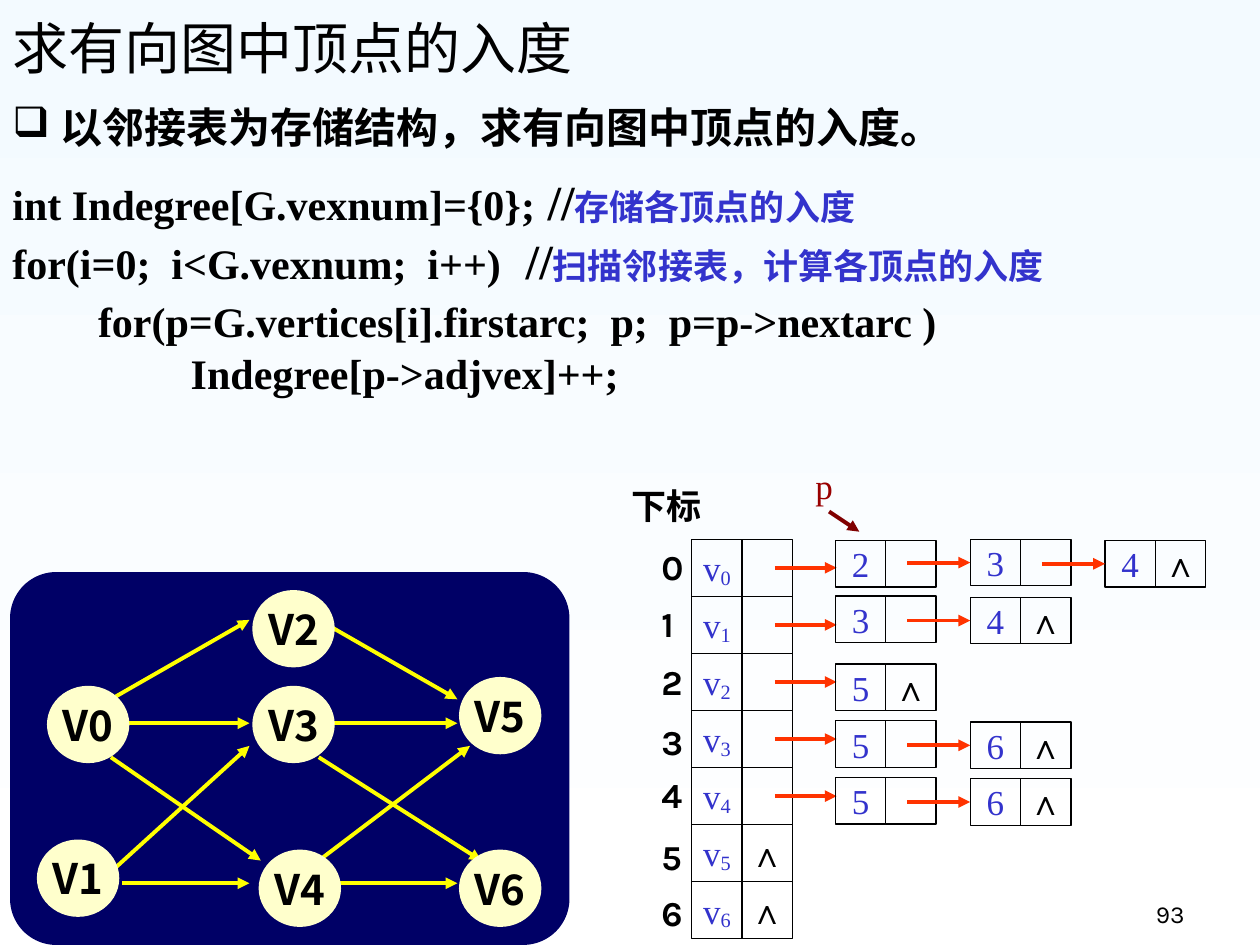
from pptx import Presentation
from pptx.dml.color import RGBColor
from pptx.enum.shapes import MSO_CONNECTOR, MSO_SHAPE
from pptx.enum.text import MSO_ANCHOR, PP_ALIGN
from pptx.oxml.ns import qn
from pptx.util import Inches, Pt
from lxml.etree import SubElement

COLORS = {
    "black": "000000", "blue": "3333CC", "navy": "000066", "cream": "FFFFCC",
    "yellow": "FFFF00", "orange": "FF3300", "red": "990000", "maroon": "800000",
    "sky": "F3FAFF", "white": "FFFFFF",
}
SERIF, SANS, CJK, DIGITS = "Times New Roman", "Arial", "Noto Sans CJK SC", "Karla"


def rgb(name):
    return RGBColor.from_string(COLORS[name])


class SlideBuilder:
    def __init__(self, slide):
        self.slide = slide

    def background(self, top, bottom):
        fill = self.slide.background.fill
        fill.gradient()
        fill.gradient_angle = 270
        for stop, name in zip(fill.gradient_stops, (top, bottom)):
            stop.color.rgb = rgb(name)

    def style(self, span, size, font=SERIF, color="black", bold=False):
        span.font.size = Pt(size)
        span.font.name = font
        span.font.bold = bold
        span.font.color.rgb = rgb(color)
        SubElement(span.font._element, qn("a:ea")).set("typeface", CJK)

    def text(self, area, words, size, font=SERIF, color="black", bold=False,
             align=PP_ALIGN.LEFT, anchor=MSO_ANCHOR.TOP, wrap=True):
        box = self.slide.shapes.add_textbox(*map(Inches, area))
        frame = box.text_frame
        frame.word_wrap = wrap
        frame.vertical_anchor = anchor
        frame.text = words
        para = frame.paragraphs[0]
        para.alignment = align
        self.style(para.runs[0], size, font, color, bold)
        return box

    def bullet(self, box, mark, indent):
        props = box.text_frame.paragraphs[0]._p.get_or_add_pPr()
        props.set("marL", str(Inches(indent)))
        props.set("indent", str(-Inches(indent)))
        SubElement(props, qn("a:buChar")).set("char", mark)

    def code(self, area, lines):
        box = self.slide.shapes.add_textbox(*map(Inches, area))
        frame = box.text_frame
        frame.word_wrap = True
        for index, line in enumerate(lines):
            para = frame.paragraphs[0] if index == 0 else frame.add_paragraph()
            for words, size, color in line:
                span = para.add_run()
                span.text = words
                self.style(span, size, color=color, bold=True)

    def shape(self, kind, area, fill=None, line=None, width=0.75):
        shape = self.slide.shapes.add_shape(kind, *map(Inches, area))
        shape.shadow.inherit = False
        if fill:
            shape.fill.solid()
            shape.fill.fore_color.rgb = rgb(fill)
        else:
            shape.fill.background()
        if line:
            shape.line.color.rgb = rgb(line)
            shape.line.width = Pt(width)
        else:
            shape.line.fill.background()
        return shape

    def label(self, shape, words, size, font, color, bold=False, subscript=""):
        frame = shape.text_frame
        frame.word_wrap = False
        frame.vertical_anchor = MSO_ANCHOR.MIDDLE
        frame.text = words
        para = frame.paragraphs[0]
        para.alignment = PP_ALIGN.CENTER
        if subscript:
            span = para.add_run()
            span.text = subscript
            span.font._element.set("baseline", "-10000")
        for span in para.runs:
            self.style(span, size, font, color, bold)

    def cell(self, left, top, height, words="", subscript=""):
        cell = self.shape(MSO_SHAPE.RECTANGLE, (left, top, CELL, height), line="black")
        if words:
            color = "black" if words == "∧" else "blue"
            self.label(cell, words, 20, SERIF, color, subscript=subscript)
        return cell

    def vertex(self, name, left, top):
        oval = self.shape(MSO_SHAPE.OVAL, (left, top, 0.64, 0.6), "cream", "cream", 1)
        self.label(oval, name, 24, CJK, "black", True)

    def arrow(self, start, end, color, target=None):
        line = self.slide.shapes.add_connector(
            MSO_CONNECTOR.STRAIGHT, *map(Inches, start + end))
        if target is not None:
            line.end_connect(target, 1)
        line.line.color.rgb = rgb(color)
        line.line.width = Pt(2.25)
        SubElement(line.line._get_or_add_ln(), qn("a:tailEnd")).set("type", "triangle")
        SubElement(line._element.spPr, qn("a:effectLst"))


CELL = 0.4
ROW, NODE = 0.453, 0.37
TABLE_LEFT, TABLE_TOP = 5.49, 4.28
NODE_LEFT, NODE_STEP = 6.63, 1.07

EDGES = [
    ((0.88, 5.55), (1.98, 4.92)), ((0.97, 5.74), (1.98, 5.74)),
    ((2.62, 5.74), (3.63, 5.74)), ((2.62, 7.01), (3.63, 7.01)),
    ((0.97, 7.01), (1.98, 7.01)), ((0.88, 6.01), (2.07, 6.83)),
    ((0.88, 6.92), (1.98, 5.92)), ((2.53, 6.83), (3.73, 5.92)),
    ((2.53, 6.01), (3.82, 6.83)), ((2.53, 4.92), (3.63, 5.55)),
]
VERTICES = {
    "V5": (3.65, 5.38), "V3": (2.01, 5.45), "V2": (2.01, 4.69), "V0": (0.38, 5.45),
    "V1": (0.3, 6.67), "V4": (2.06, 6.75), "V6": (3.65, 6.75),
}
ADJACENCY = [
    [("2", 4.29), ("3", 4.28), ("4", 4.29)],
    [("3", 4.73), ("4", 4.74)],
    [("5", 5.27)],
    [("5", 5.72), ("6", 5.73)],
    [("5", 6.17), ("6", 6.18)],
    [],
    [],
]
INDEX_TOPS = [4.28, 4.73, 5.19, 5.67, 6.09, 6.58, 7.03]
CODE = [
    [("int Indegree[G.vexnum]={0};", 24, "black"), (" //", 28, "black"),
     ("存储各顶点的入度", 20, "blue")],
    [("for(i=0;  i<G.vexnum;  i++)", 24, "black"), ("  //", 28, "black"),
     ("扫描邻接表，计算各顶点的入度", 20, "blue")],
    [("       ", 28, "black"),
     ("for(p=G.vertices[i].firstarc;  p;  p=p->nextarc )", 24, "black")],
    [("                 Indegree[p->adjvex]++;", 24, "black")],
]


def draw_graph(page):
    panel = page.shape(MSO_SHAPE.ROUNDED_RECTANGLE, (0.08, 4.54, 4.44, 2.96), "navy")
    panel.adjustments[0] = 0.124
    for start, end in EDGES:
        page.arrow(start, end, "yellow")
    for name, place in VERTICES.items():
        page.vertex(name, *place)


def draw_adjacency_list(page):
    page.text((4.89, 3.75, 0.8, 0.53), "下标", 20, CJK, bold=True,
              align=PP_ALIGN.CENTER, anchor=MSO_ANCHOR.MIDDLE)
    for row, (nodes, index_top) in enumerate(zip(ADJACENCY, INDEX_TOPS)):
        top = TABLE_TOP + row * ROW
        page.text((5.15, index_top, 0.33, 0.43), str(row), 20, DIGITS, bold=True)
        page.cell(TABLE_LEFT, top, ROW, "v", str(row))
        page.cell(TABLE_LEFT + CELL, top, ROW, "" if nodes else "∧")
        if nodes:
            middle = top + ROW / 2
            page.arrow((6.15, middle), (6.64, middle), "orange")
        for position, (value, node_top) in enumerate(nodes):
            left = NODE_LEFT + position * NODE_STEP
            node = page.cell(left, node_top, NODE, value)
            page.cell(left + CELL, node_top, NODE,
                      "∧" if position == len(nodes) - 1 else "")
            if position:
                middle = node_top + NODE / 2
                page.arrow((left - 0.5, middle), (left, middle), "orange", node)
    page.text((6.34, 3.67, 0.4, 0.37), "p", 20, color="red", align=PP_ALIGN.CENTER,
              anchor=MSO_ANCHOR.MIDDLE, wrap=False)
    page.arrow((6.58, 4.06), (6.82, 4.22), "maroon")


def main():
    deck = Presentation()
    deck.slide_width, deck.slide_height = Inches(10), Inches(7.5)
    page = SlideBuilder(deck.slides.add_slide(deck.slide_layouts[6]))
    page.background("sky", "white")
    page.text((0, 0, 8.64, 0.69), "求有向图中顶点的入度", 32, SANS,
              anchor=MSO_ANCHOR.BOTTOM)
    heading = page.text((0, 0.76, 8.9, 0.5), "以邻接表为存储结构，求有向图中顶点的入度。",
                        24, bold=True)
    page.bullet(heading, "❑", 0.38)
    page.code((0, 1.31, 9.08, 2.3), CODE)
    draw_graph(page)
    draw_adjacency_list(page)
    page.text((7.42, 6.92, 2.08, 0.5), "93", 14, DIGITS, align=PP_ALIGN.RIGHT,
              anchor=MSO_ANCHOR.BOTTOM)
    deck.save("out.pptx")


if __name__ == "__main__":
    main()
